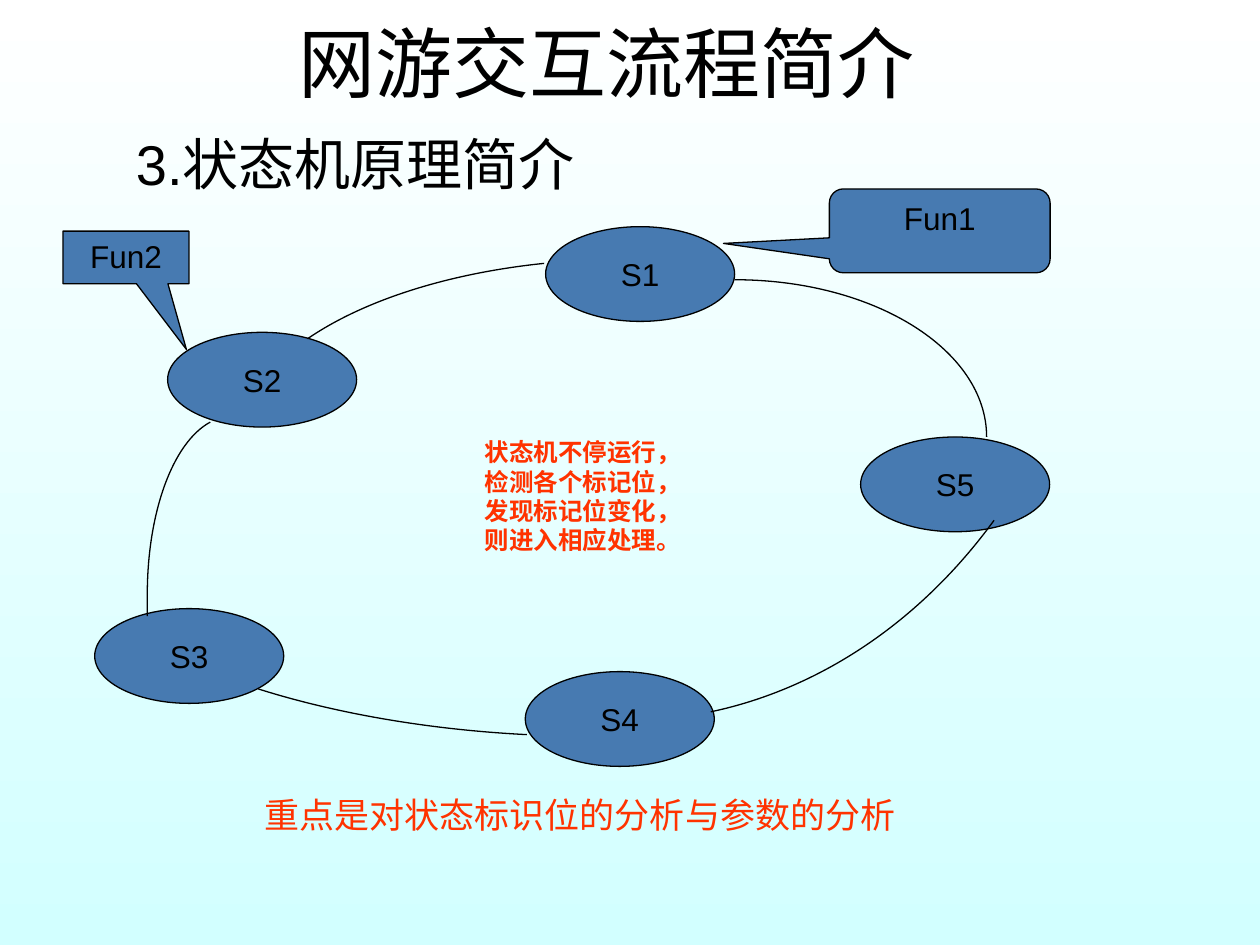
from lxml.etree import SubElement
from pptx import Presentation
from pptx.dml.color import RGBColor
from pptx.enum.shapes import MSO_SHAPE as Shape
from pptx.enum.text import MSO_ANCHOR as Anchor, MSO_AUTO_SIZE as AutoSize, PP_ALIGN as Align
from pptx.oxml.ns import qn
from pptx.util import Cm, Pt

BLACK = RGBColor(0x00, 0x00, 0x00)
WHITE = RGBColor(0xFF, 0xFF, 0xFF)
PALE_CYAN = RGBColor(0xD2, 0xFF, 0xFF)
STEEL_BLUE = RGBColor(0x47, 0x7A, 0xB1)
ORANGE_RED = RGBColor(0xFF, 0x33, 0x00)
LATIN_FONT = "Arial"
CHINESE_FONT = "Noto Sans CJK SC"
STATE_SIZE = (3.81, 1.91)

STATES = {
    "S1": (11, 4.57),
    "S5": (17.35, 8.81),
    "S4": (10.59, 13.54),
    "S3": (1.91, 12.27),
    "S2": (3.38, 6.7),
}

TRANSITION_CURVES = [
    [(4.24, 8.51), (3.48, 8.92), (2.97, 10.34), (2.97, 11.99),
     (2.97, 12.14), (2.97, 12.28), (2.97, 12.42)],
    [(14.81, 5.64), (17.63, 5.64), (19.89, 7.06), (19.89, 8.81)],
    [(10.97, 5.31), (9.04, 5.51), (7.34, 6.05), (6.2, 6.83)],
    [(14.33, 14.35), (16.51, 13.89), (18.54, 12.55), (20.04, 10.49)],
    [(5.21, 13.89), (6.76, 14.38), (8.64, 14.71), (10.62, 14.81)],
]


def set_background(slide):
    fill = slide.background.fill
    fill.gradient()
    fill.gradient_angle = 270
    for stop, position, color in zip(fill.gradient_stops, (0, 1), (WHITE, PALE_CYAN)):
        stop.position = position
        stop.color.rgb = color


def write_text(shape, text, size, color=BLACK, font=LATIN_FONT, bold=False,
               align=Align.LEFT, anchor=Anchor.TOP, wrap=False, line_spacing=1.0):
    frame = shape.text_frame
    frame.text = text
    frame.word_wrap = wrap
    frame.auto_size = AutoSize.NONE
    frame.vertical_anchor = anchor
    for paragraph in frame.paragraphs:
        paragraph.alignment = align
        paragraph.line_spacing = line_spacing
        paragraph.font.size = Pt(size)
        paragraph.font.name = font
        paragraph.font.bold = bold
        paragraph.font.color.rgb = color
        for run in paragraph.runs:
            properties = run._r.get_or_add_rPr()
            properties.set("lang", "zh-CN")
            SubElement(properties, qn("a:ea"), typeface=CHINESE_FONT)


def set_outline(shape):
    shape.shadow.inherit = False
    shape.line.color.rgb = BLACK
    shape.line.width = Pt(0.75)


def add_label_shape(slide, kind, box, text, anchor, adjustments=(), wrap=True):
    shape = slide.shapes.add_shape(kind, *map(Cm, box))
    for index, value in enumerate(adjustments):
        shape.adjustments[index] = value
    shape.fill.solid()
    shape.fill.fore_color.rgb = STEEL_BLUE
    set_outline(shape)
    write_text(shape, text, 18, align=Align.CENTER, anchor=anchor, wrap=wrap)


def add_curve(slide, points):
    start, *others = [(Cm(x), Cm(y)) for x, y in points]
    builder = slide.shapes.build_freeform(*start)
    builder.add_line_segments(others, close=False)
    shape = builder.convert_to_shape()
    shape.fill.background()
    set_outline(shape)
    outline = next(shape.element.iter(qn("a:path")))
    segments = outline.findall(qn("a:lnTo"))
    for first in range(0, len(segments), 3):
        curve = SubElement(outline, qn("a:cubicBezTo"))
        for segment in segments[first:first + 3]:
            curve.append(segment[0])
            outline.remove(segment)


def add_text(slide, box, text, size, **style):
    write_text(slide.shapes.add_textbox(*map(Cm, box)), text, size, **style)


def add_title(slide, box, text):
    title = slide.shapes.title
    title.left, title.top, title.width, title.height = map(Cm, box)
    write_text(title, text, 44, font=CHINESE_FONT)


def main():
    presentation = Presentation()
    presentation.slide_width = Cm(25.4)
    presentation.slide_height = Cm(19.05)
    slide = presentation.slides.add_slide(presentation.slide_layouts[5])
    set_background(slide)
    add_title(slide, (5.77, 0.18, 13.4, 2.13), "网游交互流程简介")

    for name, position in STATES.items():
        add_label_shape(slide, Shape.OVAL, position + STATE_SIZE, name, Anchor.MIDDLE, wrap=False)
    for points in TRANSITION_CURVES:
        add_curve(slide, points)

    add_label_shape(slide, Shape.ROUNDED_RECTANGULAR_CALLOUT, (16.72, 3.81, 4.45, 1.69),
                    "Fun1", Anchor.TOP, (-0.98, 0.15))
    add_label_shape(slide, Shape.RECTANGULAR_CALLOUT, (1.27, 4.66, 2.54, 1.06),
                    "Fun2", Anchor.TOP, (0.48, 1.75))

    add_text(slide, (9.52, 8.69, 4.47, 2.64),
             "状态机不停运行，\n检测各个标记位，\n发现标记位变化，\n则进入相应处理。",
             14, color=ORANGE_RED, bold=True)
    add_text(slide, (5.08, 15.88, 13.23, 1.12), "重点是对状态标识位的分析与参数的分析",
             20, color=ORANGE_RED)
    add_text(slide, (2.49, 2.74, 9.63, 1.35), "3.状态机原理简介", 32, line_spacing=0.8)

    presentation.save("out.pptx")


if __name__ == "__main__":
    main()
